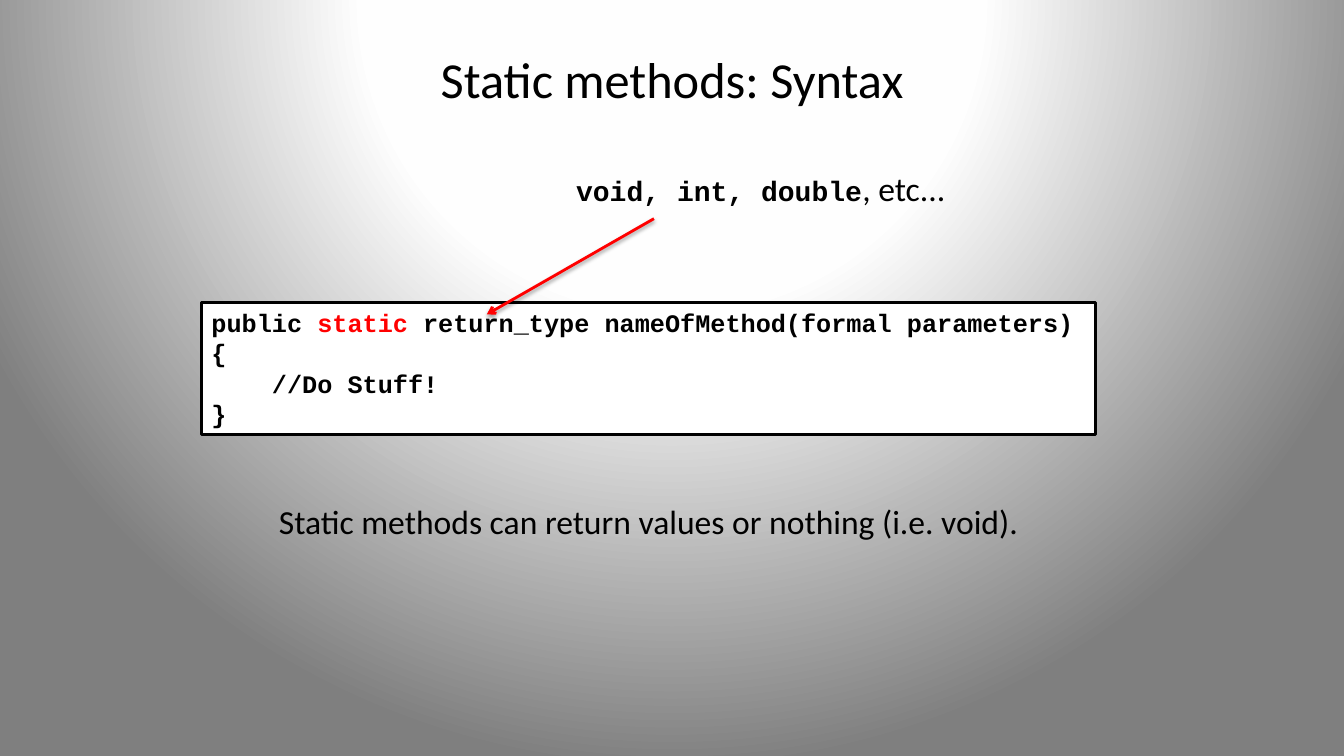
from pptx import Presentation
from pptx.dml.color import RGBColor
from pptx.enum.shapes import MSO_CONNECTOR, MSO_SHAPE
from pptx.enum.text import MSO_ANCHOR, MSO_AUTO_SIZE, PP_ALIGN
from pptx.oxml import parse_xml
from pptx.oxml.ns import nsdecls
from pptx.util import Cm, Pt

STRAIGHT = MSO_CONNECTOR.STRAIGHT
RECTANGLE = MSO_SHAPE.RECTANGLE
MIDDLE, TOP = MSO_ANCHOR.MIDDLE, MSO_ANCHOR.TOP
CENTER, LEFT = PP_ALIGN.CENTER, PP_ALIGN.LEFT
GROW = MSO_AUTO_SIZE.SHAPE_TO_FIT_TEXT

COLORS = {"black": "000000", "white": "FFFFFF", "red": "FF0000",
          "near_white": "FEFEFE", "gray": "7F7F7F"}
BODY, CODE = "Calibri", "Courier New"


def rgb(name):
    return RGBColor.from_string(COLORS[name])


def add_run(paragraph, text, font, size, color="black", bold=False):
    run = paragraph.add_run()
    run.text = text
    run.font.name = font
    run.font.size = Pt(size)
    run.font.bold = bold
    run.font.color.rgb = rgb(color)


prs = Presentation()
prs.slide_width, prs.slide_height = Cm(33.87), Cm(19.05)
slide = prs.slides.add_slide(prs.slide_layouts[5])
shapes = slide.shapes

# Background: circular gradient centred above the slide
stops = "".join(
    f'<a:gs pos="{percent * 1000}"><a:srgbClr val="{COLORS[color]}"/></a:gs>'
    for percent, color in ((0, "white"), (40, "near_white"), (100, "gray")))
slide.element.cSld.insert(0, parse_xml(
    f'<p:bg {nsdecls("p", "a")}><p:bgPr><a:gradFill rotWithShape="1">'
    f'<a:gsLst>{stops}</a:gsLst><a:path path="circle">'
    '<a:fillToRect l="50000" t="-80000" r="50000" b="180000"/></a:path>'
    '</a:gradFill><a:effectLst/></p:bgPr></p:bg>'))

# Title
title = shapes.title
title.left, title.top, title.width, title.height = Cm(1.7), Cm(0.76), Cm(30.48), Cm(2.41)
title.text_frame.vertical_anchor = MIDDLE
title_line = title.text_frame.paragraphs[0]
title_line.alignment = CENTER
add_run(title_line, "Static methods: Syntax", BODY, 36)

# Method syntax
syntax = shapes.add_shape(RECTANGLE, Cm(5.08), Cm(7.62), Cm(22.53), Cm(3.33))
syntax.shadow.inherit = False
syntax.fill.solid()
syntax.fill.fore_color.rgb = rgb("white")
syntax.line.color.rgb = rgb("black")
syntax.line.width = Pt(2)
code = syntax.text_frame
code.word_wrap = False
code.auto_size = GROW
code.vertical_anchor = TOP
code_lines = [
    [("public ", "black"), ("static ", "red"),
     ("return_type nameOfMethod(formal parameters)", "black")],
    [("{", "black")],
    [("    //Do Stuff!", "black")],
    [("}", "black")],
]
for number, parts in enumerate(code_lines):
    code_line = code.add_paragraph() if number else code.paragraphs[0]
    code_line.alignment = LEFT
    for text, color in parts:
        add_run(code_line, text, CODE, 18, color, bold=True)

# Return types and the remark under the code
notes = [
    (14.27, 4.11, 9.91, [("void, int, double", CODE, 20, "black", True),
                         (", etc...", BODY, 24)]),
    (6.78, 12.5, 19.41,
     [("Static methods can return values or nothing (i.e. void).", BODY, 24)]),
]
for left, top, width, parts in notes:
    note = shapes.add_textbox(Cm(left), Cm(top), Cm(width), Cm(1.27)).text_frame
    note.word_wrap = False
    note.auto_size = GROW
    for part in parts:
        add_run(note.paragraphs[0], *part)

# Arrow from the return types to the code, with a soft shadow
arrow = shapes.add_connector(STRAIGHT, Cm(16.48), Cm(5.51), Cm(12.27), Cm(7.92))
arrow.line.color.rgb = rgb("red")
arrow.line.width = Pt(2)
arrow.line._get_or_add_ln().append(
    parse_xml(f'<a:tailEnd {nsdecls("a")} type="arrow"/>'))
arrow.element.spPr.append(parse_xml(
    f'<a:effectLst {nsdecls("a")}><a:outerShdw blurRad="{Pt(3.1)}" dist="{Pt(1.6)}" '
    f'dir="5400000" rotWithShape="0"><a:srgbClr val="{COLORS["black"]}">'
    '<a:alpha val="38000"/></a:srgbClr></a:outerShdw></a:effectLst>'))

prs.save("out.pptx")
